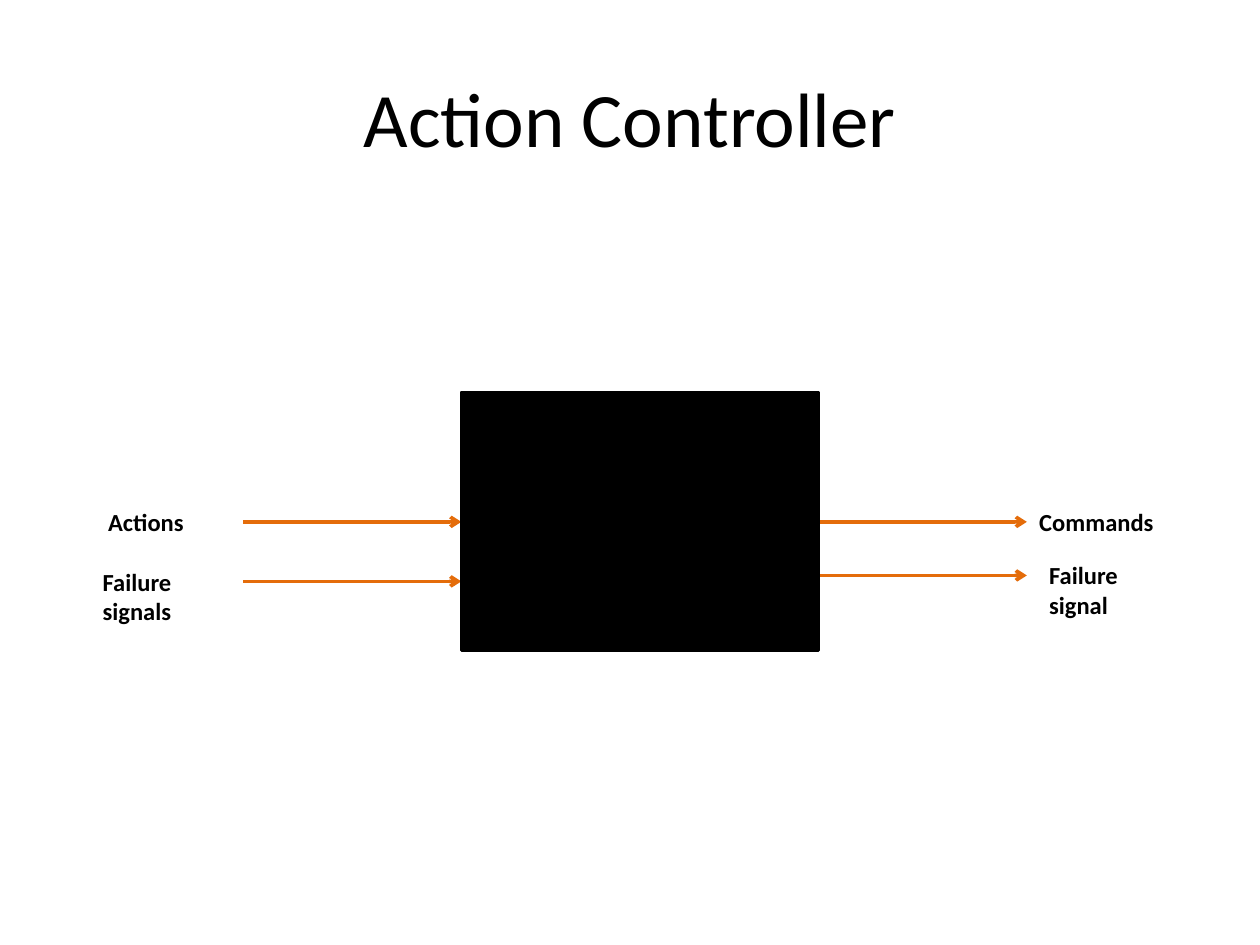
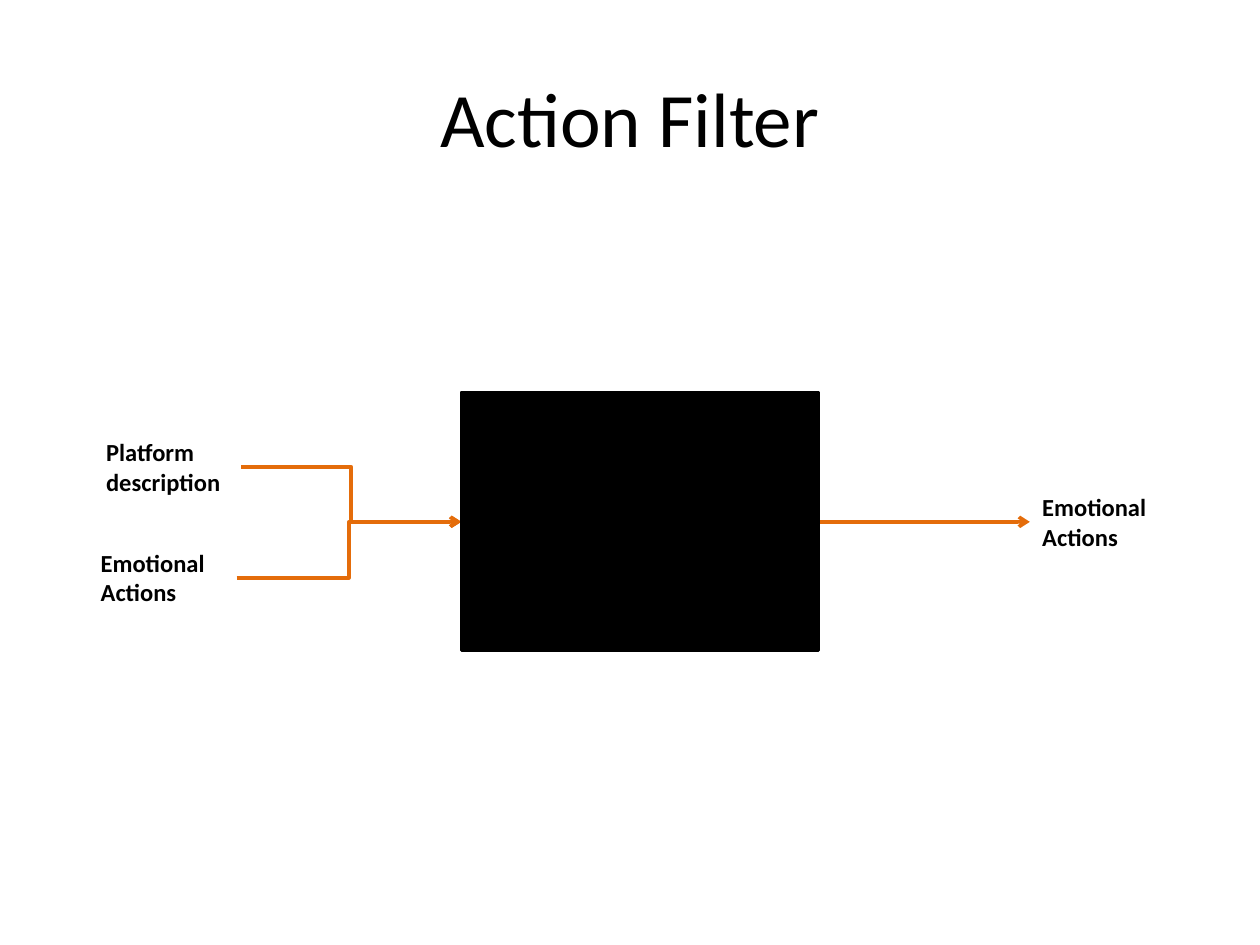
from lxml.etree import SubElement
from pptx import Presentation
from pptx.dml.color import RGBColor
from pptx.enum.shapes import MSO_CONNECTOR as Connector, MSO_SHAPE as Shape
from pptx.enum.text import MSO_ANCHOR as Anchor, MSO_AUTO_SIZE as AutoSize, PP_ALIGN as Align
from pptx.oxml.ns import qn
from pptx.util import Cm, Pt

COLORS = {"ink": "000000", "flow": "E46C0A"}
FONT = "Calibri"
LABEL_WIDTH = 2.97
LINE_HEIGHTS = {1: 0.86, 2: 1.45}

# Black box shared by both slides, in cm
BOX_LEFT, BOX_TOP, BOX_WIDTH, BOX_HEIGHT = 9.3, 7.92, 7.2, 5.2
BOX_RIGHT = BOX_LEFT + BOX_WIDTH
MIDDLE = BOX_TOP + BOX_HEIGHT / 2

STRAIGHT, ELBOW = Connector.STRAIGHT, Connector.ELBOW

# Labels: text, left, top, line count
# Flows: kind, start x, start y, end x, end y
diagrams = [
    ("Action Controller",
     [("Actions", 1.93, 10.1, 1),
      ("Commands", 20.7, 10.1, 1),
      ("Failure signals", 1.82, 11.3, 2),
      ("Failure signal", 20.9, 11.17, 2)],
     [(STRAIGHT, 4.9, MIDDLE, BOX_LEFT, MIDDLE),
      (STRAIGHT, 4.9, 11.72, BOX_LEFT, 11.72),
      (STRAIGHT, BOX_RIGHT, MIDDLE, 20.7, MIDDLE),
      (STRAIGHT, BOX_RIGHT, 11.6, 20.7, 11.6)]),
    ("Action Filter",
     [("Platform description", 1.89, 8.69, 2),
      ("Emotional Actions", 1.78, 10.92, 2),
      ("Emotional Actions", 20.76, 9.8, 2)],
     [(ELBOW, 4.77, 11.65, BOX_LEFT, MIDDLE),
      (ELBOW, 4.86, 9.41, BOX_LEFT, MIDDLE),
      (STRAIGHT, BOX_RIGHT, MIDDLE, 20.76, MIDDLE)]),
]


def style_text(paragraph, size, bold=False):
    paragraph.font.name = FONT
    paragraph.font.size = Pt(size)
    paragraph.font.bold = bold
    paragraph.font.color.rgb = RGBColor.from_string(COLORS["ink"])


def style_line(line, color):
    line.color.rgb = RGBColor.from_string(COLORS[color])
    line.width = Pt(2)


deck = Presentation()
deck.slide_width, deck.slide_height = Cm(25.4), Cm(19.05)
title_only = deck.slide_layouts[5]

for heading, labels, flows in diagrams:
    slide = deck.slides.add_slide(title_only)

    # Title
    title = slide.shapes.title
    title.left, title.top, title.width, title.height = Cm(1.27), Cm(0.76), Cm(22.86), Cm(3.18)
    title.text_frame.text = heading
    title.text_frame.vertical_anchor = Anchor.MIDDLE
    title.text_frame.paragraphs[0].alignment = Align.CENTER
    style_text(title.text_frame.paragraphs[0], 44)

    # Names of the inputs and outputs
    for wording, left, top, line_count in labels:
        label = slide.shapes.add_textbox(
            Cm(left), Cm(top), Cm(LABEL_WIDTH), Cm(LINE_HEIGHTS[line_count])).text_frame
        label.word_wrap = True
        label.auto_size = AutoSize.SHAPE_TO_FIT_TEXT
        label.text = wording
        style_text(label.paragraphs[0], 14, bold=True)

    # Arrows into and out of the box
    for kind, *ends in flows:
        flow = slide.shapes.add_connector(kind, *[Cm(end) for end in ends])
        style_line(flow.line, "flow")
        SubElement(flow.line._get_or_add_ln(), qn("a:tailEnd"), type="arrow")
        SubElement(flow._element.spPr, qn("a:effectLst"))

    # Black box
    black_box = slide.shapes.add_shape(
        Shape.RECTANGLE, Cm(BOX_LEFT), Cm(BOX_TOP), Cm(BOX_WIDTH), Cm(BOX_HEIGHT))
    black_box.shadow.inherit = False
    black_box.fill.solid()
    black_box.fill.fore_color.rgb = RGBColor.from_string(COLORS["ink"])
    style_line(black_box.line, "ink")

deck.save("out.pptx")
